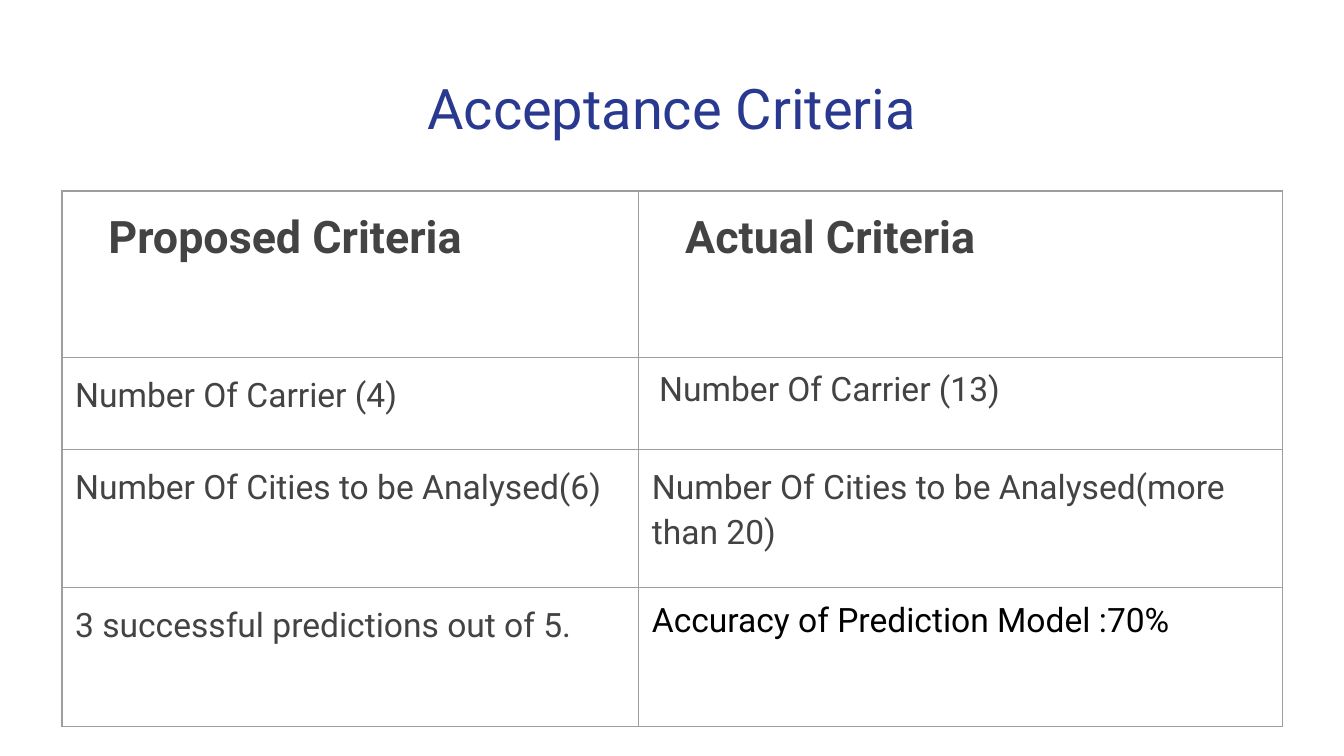
"""Build the Acceptance Criteria slide with its two-column table."""
from lxml import etree
from pptx import Presentation
from pptx import util as u
from pptx.dml import color
from pptx.enum import text
from pptx.oxml import ns

INK, BLUE, GREY, BLACK = "434343", "2A3990", "9E9E9E", "000000"


def paint(hue):
    return color.RGBColor.from_string(hue)


class Deck:
    """Hold the style and the current slide."""

    def __init__(self, wide, high):
        self.prs = Presentation()
        self.prs.slide_width, self.prs.slide_height = u.Cm(wide), u.Cm(high)
        self.slide = self.prs.slides.add_slide(self.prs.slide_layouts[5])
        self.face, self.pad = "Roboto", u.Cm(0.25)

    def style(self, font, size, hue, bold=False, face=None):
        font.name, font.size, font.bold = face or self.face, u.Pt(size), bold
        font.color.rgb = paint(hue)

    def inset(self, item):
        item.margin_left = item.margin_right = self.pad
        item.margin_top = item.margin_bottom = self.pad

    def title(self, words, box):
        shape = self.slide.shapes.title
        shape.left, shape.top, shape.width, shape.height = map(u.Cm, box)
        frame = shape.text_frame
        frame.text = words
        frame.auto_size = text.MSO_AUTO_SIZE.NONE
        frame.vertical_anchor = text.MSO_ANCHOR.TOP
        self.inset(frame)
        para = frame.paragraphs[0]
        para.alignment = text.PP_ALIGN.CENTER
        self.style(para.font, 30, BLUE)

    def table(self, left, top, cols, rows):
        frame = self.slide.shapes.add_table(
            len(rows), len(cols), u.Cm(left), u.Cm(top),
            u.Cm(sum(cols)), u.Cm(sum(rows)))
        grid = frame.table
        grid.first_row = grid.horz_banding = False
        for col, wide in zip(grid.columns, cols):
            col.width = u.Cm(wide)
        for row, high in zip(grid.rows, rows):
            row.height = u.Cm(high)
        for cell in grid.iter_cells():
            self.inset(cell)
            self.edge(cell)
            cell.fill.background()
        return grid

    def edge(self, cell):
        props = cell._tc.get_or_add_tcPr()
        for side in ("lnL", "lnR", "lnT", "lnB"):
            line = etree.SubElement(props, ns.qn("a:" + side), w=str(u.Pt(0.75)))
            fill = etree.SubElement(line, ns.qn("a:solidFill"))
            etree.SubElement(fill, ns.qn("a:srgbClr"), val=GREY)

    def fill(self, cell, words, size=18, hue=INK, bold=False, loose=True):
        para = cell.text_frame.paragraphs[0]
        if loose:
            para.line_spacing, para.space_after = 1.15, u.Pt(16)
        self.style(para.font, size, hue, bold)
        para.add_run().text = words
        return para

    def head(self, cell, words):
        props = self.fill(cell, words, 24, bold=True)._p.get_or_add_pPr()
        props.set("marL", str(u.Cm(1.27)))
        props.set("indent", str(u.Cm(-0.64)))


def main():
    deck = Deck(25.4, 14.29)
    deck.title("Acceptance Criteria", (0.86, 1.14, 23.67, 1.68))
    grid = deck.table(1.17, 3.61, (10.9, 12.17), (3.15, 1.73, 2.62, 2.62))
    for col, words in enumerate(("Proposed Criteria", "Actual Criteria")):
        deck.head(grid.cell(0, col), words)
    goals = ("Number Of Carrier (4)", "Number Of Cities to be Analysed(6)",
             "3 successful predictions out of 5.")
    for row, words in enumerate(goals, 1):
        deck.fill(grid.cell(row, 0), words)
    para = deck.fill(grid.cell(1, 1), " ", loose=False)
    deck.style(para.runs[0].font, 14, BLACK, face="Arial")
    para.add_run().text = "Number Of Carrier (13)"
    deck.fill(grid.cell(2, 1), "Number Of Cities to be Analysed(more than 20)")
    deck.fill(grid.cell(3, 1), "Accuracy of Prediction Model :70%",
              hue=BLACK, loose=False)
    deck.prs.save("out.pptx")


if __name__ == "__main__":
    main()
